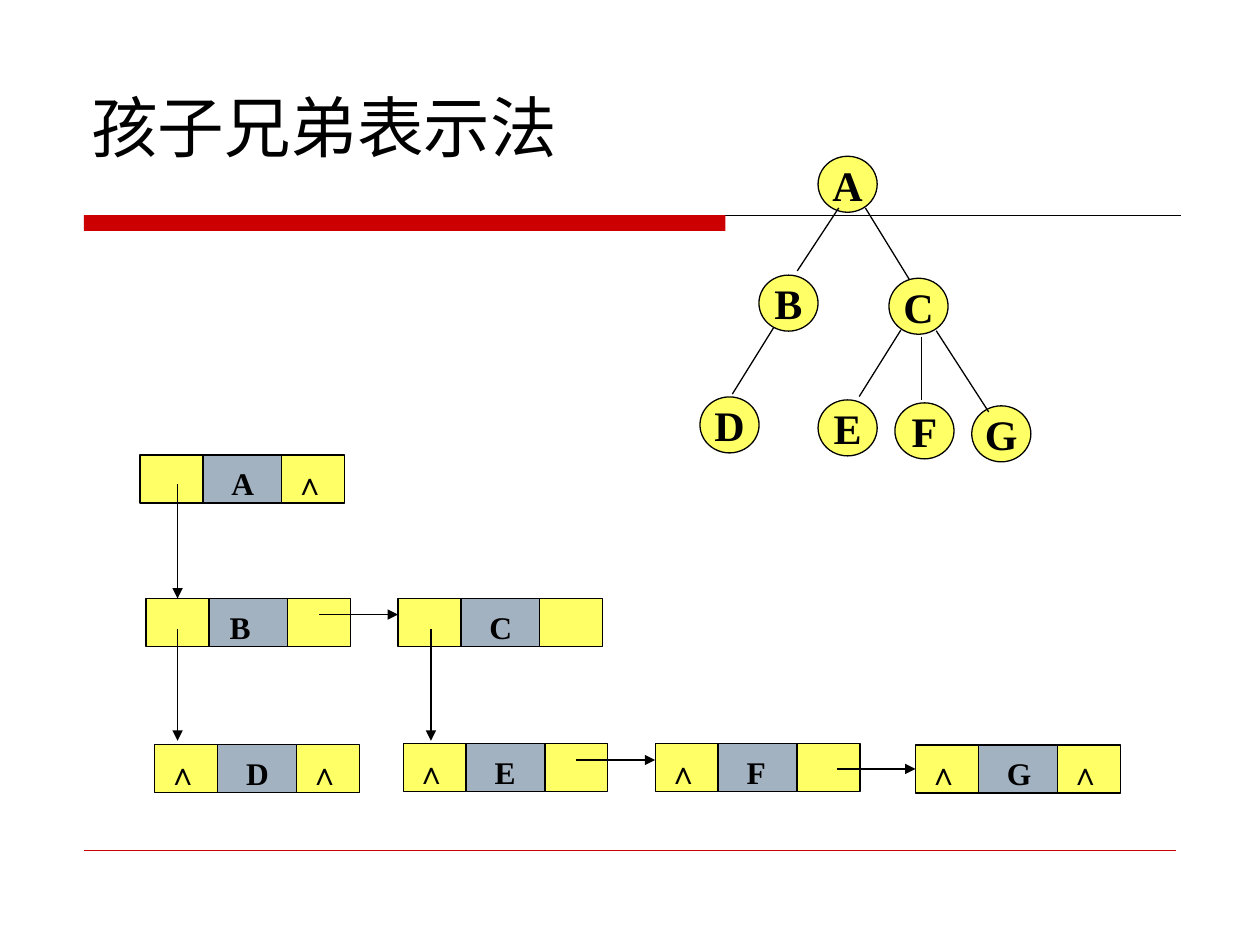
from dataclasses import dataclass

from lxml.etree import SubElement
from pptx import Presentation
from pptx.dml.color import RGBColor
from pptx.enum.shapes import MSO_CONNECTOR, MSO_SHAPE
from pptx.enum.text import MSO_ANCHOR, PP_ALIGN
from pptx.oxml.ns import qn
from pptx.util import Pt

BLACK, RED, YELLOW, GREY = "000000", "CC0000", "FFFF66", "A3B2C1"
POINTER_WIDTH, LETTER_WIDTH, CELL_HEIGHT = 36, 45, 27.4
CIRCLE_WIDTH, CIRCLE_HEIGHT = 33.8, 32
NULL = "∧"


@dataclass(frozen=True)
class ListNode:
    letter: str
    left: float
    top: float
    child: str = ""
    sibling: str = ""
    indent: float = 9


@dataclass(frozen=True)
class TreeNode:
    letter: str
    left: float
    top: float


@dataclass(frozen=True)
class Line:
    start: tuple[float, float]
    end: tuple[float, float]
    target: str = ""
    site: int = 0


LIST_NODES = [
    ListNode("A", 80, 260, sibling=NULL),
    ListNode("B", 83.5, 342, indent=4.5),
    ListNode("C", 227.5, 342),
    ListNode("D", 88.5, 425.3, NULL, NULL),
    ListNode("E", 230.4, 425, NULL),
    ListNode("F", 374.4, 425, NULL),
    ListNode("G", 523.2, 425.7, NULL, NULL),
]
# The target names the node whose first cell the arrow is joined to
ARROWS = [
    Line((101.5, 276.5), (101.5, 342), "B", 0),
    Line((101.5, 359.5), (101.5, 423.3)),
    Line((246.3, 359.5), (246.3, 423.3)),
    Line((182.3, 351.2), (227.5, 351.2)),
    Line((329.2, 434.3), (374.4, 434.3)),
    Line((478.2, 439.4), (523.2, 439.4), "G", 1),
]
TREE_NODES = [
    TreeNode("A", 467.5, 89.3),
    TreeNode("B", 433.7, 157.2),
    TreeNode("C", 508, 159),
    TreeNode("D", 400, 226.8),
    TreeNode("E", 467.5, 228.5),
    TreeNode("F", 511.4, 230.2),
    TreeNode("G", 555.3, 231.9),
]
EDGES = [
    Line((479.3, 118.8), (455.6, 154.8)),
    Line((494.5, 118.8), (519.7, 159.8)),
    Line((442.1, 187.2), (418.5, 225.2)),
    Line((514.8, 188.6), (491, 226.6)),
    Line((526.5, 192.4), (526.5, 228.4)),
    Line((535, 189), (565, 235.4)),
]


def color(value: str) -> RGBColor:
    return RGBColor.from_string(value)


def write(shape, text: str, *, size: float, font="Times New Roman", bold=True,
          align=PP_ALIGN.CENTER, anchor=MSO_ANCHOR.MIDDLE, margins=(0, 0, 0, 0)) -> None:
    """Put one formatted line in a shape; margins run left, top, right, bottom."""
    frame = shape.text_frame
    frame.word_wrap = True
    frame.vertical_anchor = anchor
    (frame.margin_left, frame.margin_top,
     frame.margin_right, frame.margin_bottom) = map(Pt, margins)
    para = frame.paragraphs[0]
    para.alignment = align
    span = para.add_run()
    span.text = text
    span.font.size = Pt(size)
    span.font.name = font
    span.font.bold = bold
    span.font.color.rgb = color(BLACK)
    if font == "DejaVu Sans":
        SubElement(span.font._element, qn("a:ea")).set("typeface", font)


def add_box(page, kind, left: float, top: float, width: float, height: float,
            fill: str, line: str = BLACK):
    box = page.shapes.add_shape(kind, Pt(left), Pt(top), Pt(width), Pt(height))
    box.shadow.inherit = False
    box.fill.solid()
    box.fill.fore_color.rgb = color(fill)
    if line:
        box.line.color.rgb = color(line)
        box.line.width = Pt(0.75)
    else:
        box.line.fill.background()
    return box


def add_line(page, line: Line, *, stroke=BLACK, width=0.75, arrow=False):
    connector = page.shapes.add_connector(
        MSO_CONNECTOR.STRAIGHT, *map(Pt, line.start + line.end))
    connector.line.color.rgb = color(stroke)
    connector.line.width = Pt(width)
    if arrow:
        SubElement(connector.line._get_or_add_ln(), qn("a:tailEnd")).set("type", "triangle")
    SubElement(connector._element.spPr, qn("a:effectLst"))
    return connector


def add_list_node(page, node: ListNode):
    """Draw child pointer, letter and sibling pointer; return the first cell."""
    cells = []
    left = node.left
    for text, width, fill, indent in (
        (node.child, POINTER_WIDTH, YELLOW, 0),
        (node.letter, LETTER_WIDTH, GREY, node.indent),
        (node.sibling, POINTER_WIDTH, YELLOW, 0),
    ):
        cell = add_box(page, MSO_SHAPE.RECTANGLE, left, node.top, width, CELL_HEIGHT, fill)
        if text:
            write(cell, text, size=18, align=PP_ALIGN.JUSTIFY, anchor=MSO_ANCHOR.TOP,
                  margins=(7.2 + indent, 5.4, 7.2, 0))
        cells.append(cell)
        left += width
    return cells[0]


def add_tree_node(page, node: TreeNode) -> None:
    circle = add_box(page, MSO_SHAPE.OVAL, node.left, node.top,
                     CIRCLE_WIDTH, CIRCLE_HEIGHT, YELLOW)
    write(circle, node.letter, size=24)


def main() -> None:
    deck = Presentation()
    deck.slide_width, deck.slide_height = Pt(720), Pt(540)
    page = deck.slides.add_slide(deck.slide_layouts[6])

    # Title and rules
    add_line(page, Line((48, 123), (674.6, 123)))
    add_box(page, MSO_SHAPE.RECTANGLE, 48, 123, 366.5, 9, RED, line="")
    add_line(page, Line((48, 486), (672, 486)), stroke=RED, width=0.25)
    title = page.shapes.add_textbox(Pt(45), Pt(24), Pt(630), Pt(96))
    write(title, "孩子兄弟表示法", size=38, font="DejaVu Sans", bold=False,
          align=PP_ALIGN.LEFT, margins=(7.2, 3.6, 7.2, 3.6))

    # Linked list of children and siblings
    first_cells = {node.letter: add_list_node(page, node) for node in LIST_NODES}
    for arrow in ARROWS:
        connector = add_line(page, arrow, arrow=True)
        if arrow.target:
            connector.end_connect(first_cells[arrow.target], arrow.site)

    # Tree
    for node in TREE_NODES:
        add_tree_node(page, node)
    for edge in EDGES:
        add_line(page, edge)

    deck.save("out.pptx")


if __name__ == "__main__":
    main()
